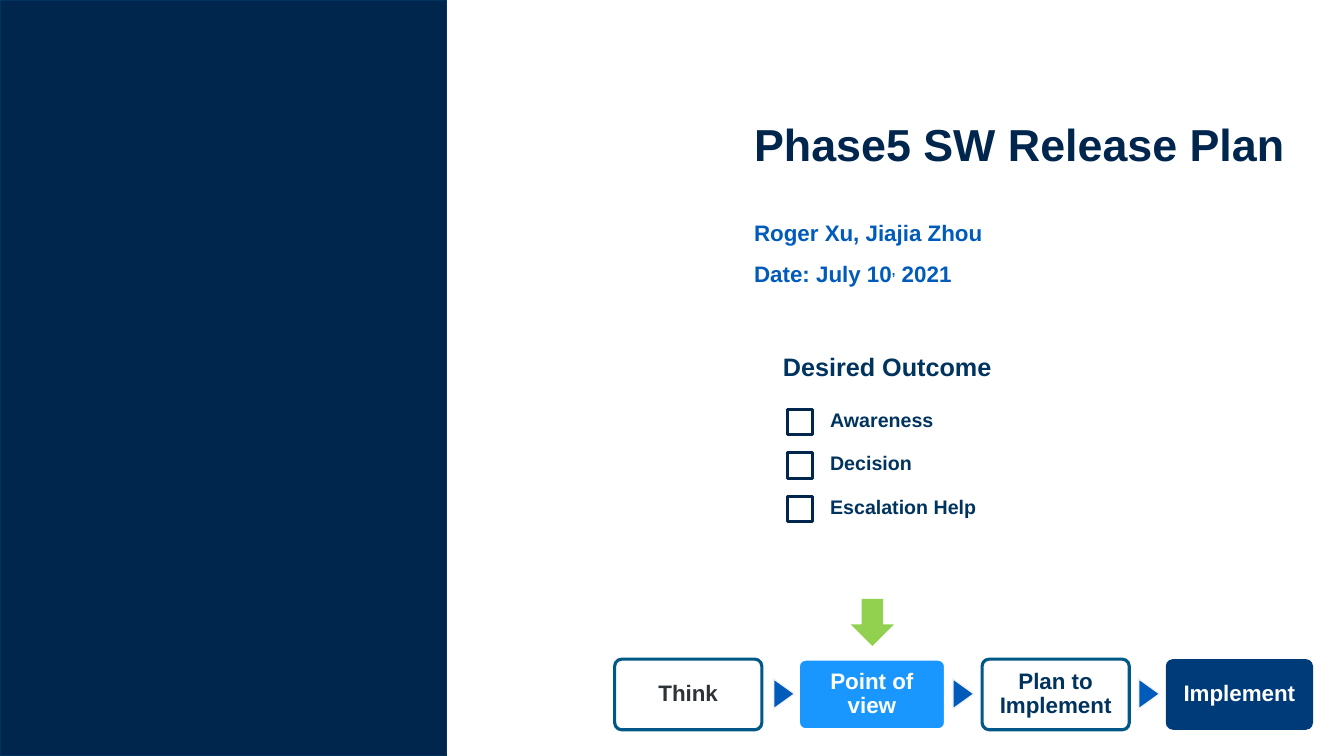
from pptx import Presentation
from pptx.dml.color import RGBColor
from pptx.enum.shapes import MSO_SHAPE
from pptx.enum.text import MSO_ANCHOR, MSO_AUTO_SIZE, PP_ALIGN
from pptx.util import Cm, Pt

RECTANGLE = MSO_SHAPE.RECTANGLE
ROUNDED = MSO_SHAPE.ROUNDED_RECTANGLE
TRIANGLE = MSO_SHAPE.ISOSCELES_TRIANGLE
DOWN_ARROW = MSO_SHAPE.DOWN_ARROW
MIDDLE = MSO_ANCHOR.MIDDLE
LEFT, CENTER = PP_ALIGN.LEFT, PP_ALIGN.CENTER

NAVY = RGBColor(0x00, 0x26, 0x4E)
PANEL_EDGE = RGBColor(0x00, 0x33, 0x5D)
INK = RGBColor(0x00, 0x34, 0x5E)
BLUE = RGBColor(0x00, 0x5B, 0xBA)
TEAL = RGBColor(0x01, 0x58, 0x86)
SKY = RGBColor(0x19, 0x97, 0xFF)
DEEP_BLUE = RGBColor(0x00, 0x3B, 0x79)
CHARCOAL = RGBColor(0x2F, 0x33, 0x38)
GREEN = RGBColor(0x92, 0xD0, 0x50)
PALE = RGBColor(0xF2, 0xF2, 0xF2)
WHITE = RGBColor(0xFF, 0xFF, 0xFF)

deck = Presentation()
deck.slide_width, deck.slide_height = Cm(33.87), Cm(19.05)
page = deck.slides.add_slide(deck.slide_layouts[0])


def add_box(kind, left, top, width, height, fill=None, line=None, weight=1):
    box = page.shapes.add_shape(kind, Cm(left), Cm(top), Cm(width), Cm(height))
    box.shadow.inherit = False
    if fill is None:
        box.fill.background()
    else:
        box.fill.solid()
        box.fill.fore_color.rgb = fill
    if line is None:
        box.line.fill.background()
    else:
        box.line.color.rgb = line
        box.line.width = Pt(weight)
    return box


def write(shape, text, size, color, align=LEFT):
    frame = shape.text_frame
    frame.text = text
    frame.word_wrap = True
    frame.auto_size = MSO_AUTO_SIZE.NONE
    frame.vertical_anchor = MIDDLE
    for para in frame.paragraphs:
        para.alignment = align
        para.space_before = Pt(0)
        para.font.name = "Arial"
        para.font.size = Pt(size)
        para.font.bold = True
        para.font.color.rgb = color
    return frame.paragraphs


# Side panel
add_box(RECTANGLE, 0, 0, 11.25, 19.05, NAVY, PANEL_EDGE)

# Title, authors and date
title = page.shapes.title
title.left, title.top, title.width, title.height = Cm(18.75), Cm(2.11), Cm(16.38), Cm(3)
write(title, "Phase5 SW Release Plan", 32, NAVY)

byline = page.placeholders[1]
byline.left, byline.top, byline.width, byline.height = Cm(18.75), Cm(5.05), Cm(10.64), Cm(2.65)
authors, date = write(byline, "Roger Xu, Jiajia Zhou\nDate: July 10", 16, BLUE)
date.space_before = Pt(10.5)
comma = date.add_run()
comma.text = ","
comma.font._element.set("baseline", "30000")
date.add_run().text = " 2021"

# Desired outcome checklist
heading = page.shapes.add_textbox(Cm(19.48), Cm(8.41), Cm(8.69), Cm(1.63))
write(heading, "Desired Outcome", 18, INK)

for row, outcome in enumerate(["Awareness", "Decision", "Escalation Help"]):
    offset = row * 1.1
    add_box(RECTANGLE, 19.84, 10.31 + offset, 0.64, 0.64, line=NAVY, weight=2.25)
    label = page.shapes.add_textbox(Cm(20.67), Cm(9.75 + offset), Cm(5.05), Cm(1.63))
    write(label, outcome, 14, INK)

# Stages, with the marker above the current one
stages = [
    ("Think", None, TEAL, CHARCOAL),
    ("Point of view", SKY, WHITE, WHITE),
    ("Plan to Implement", None, TEAL, INK),
    ("Implement", DEEP_BLUE, None, WHITE),
]
for step, (name, fill, line, color) in enumerate(stages):
    stage = add_box(ROUNDED, 15.49 + step * 4.63, 16.61, 3.71, 1.78, fill, line, 2.25)
    stage.adjustments[0] = 0.1
    frame = stage.text_frame
    frame.margin_left = frame.margin_right = Cm(0.23)
    frame.margin_top = frame.margin_bottom = Cm(0.23)
    write(stage, name, 16, color, CENTER)[0].line_spacing = 0.9

for left in (19.38, 23.9, 28.58):
    pointer = add_box(TRIANGLE, left, 17.22, 0.76, 0.53, BLUE, PALE)
    pointer.rotation = 90

add_box(DOWN_ARROW, 21.44, 15.09, 1.09, 1.19, GREEN)

deck.save("out.pptx")
